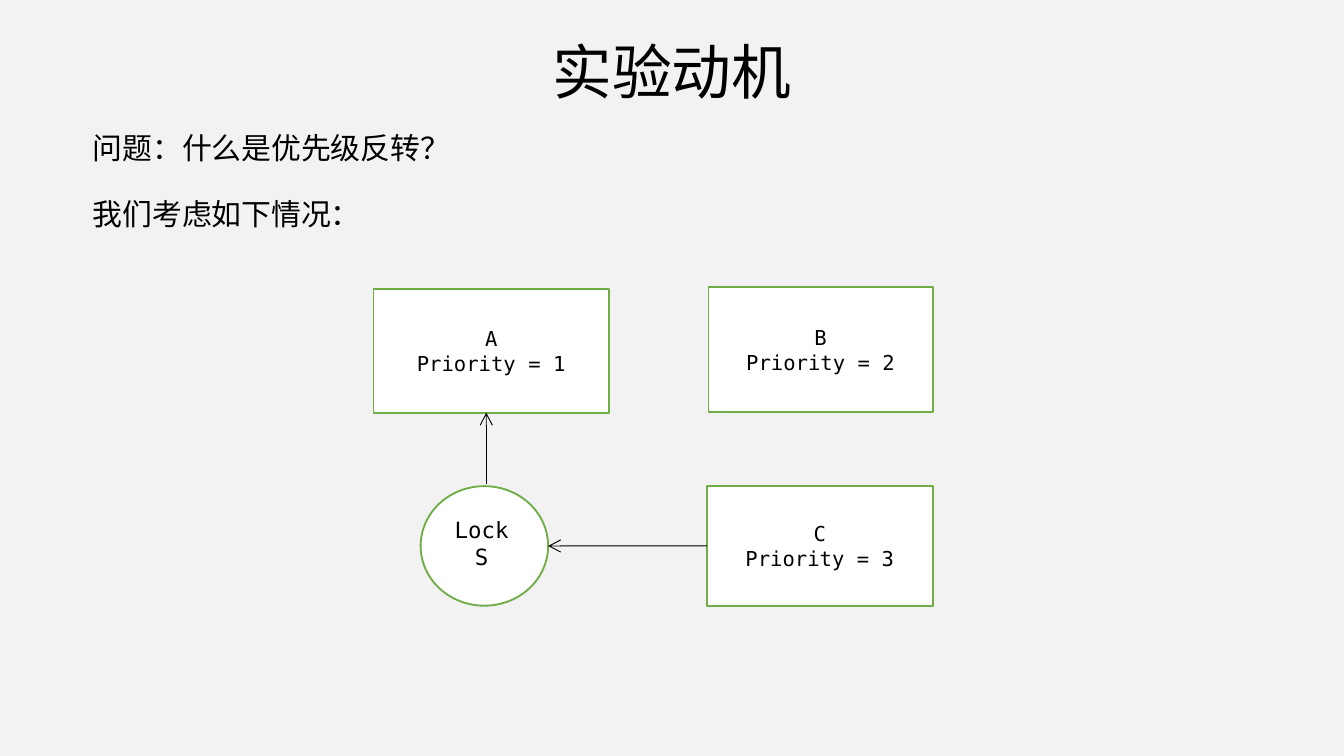
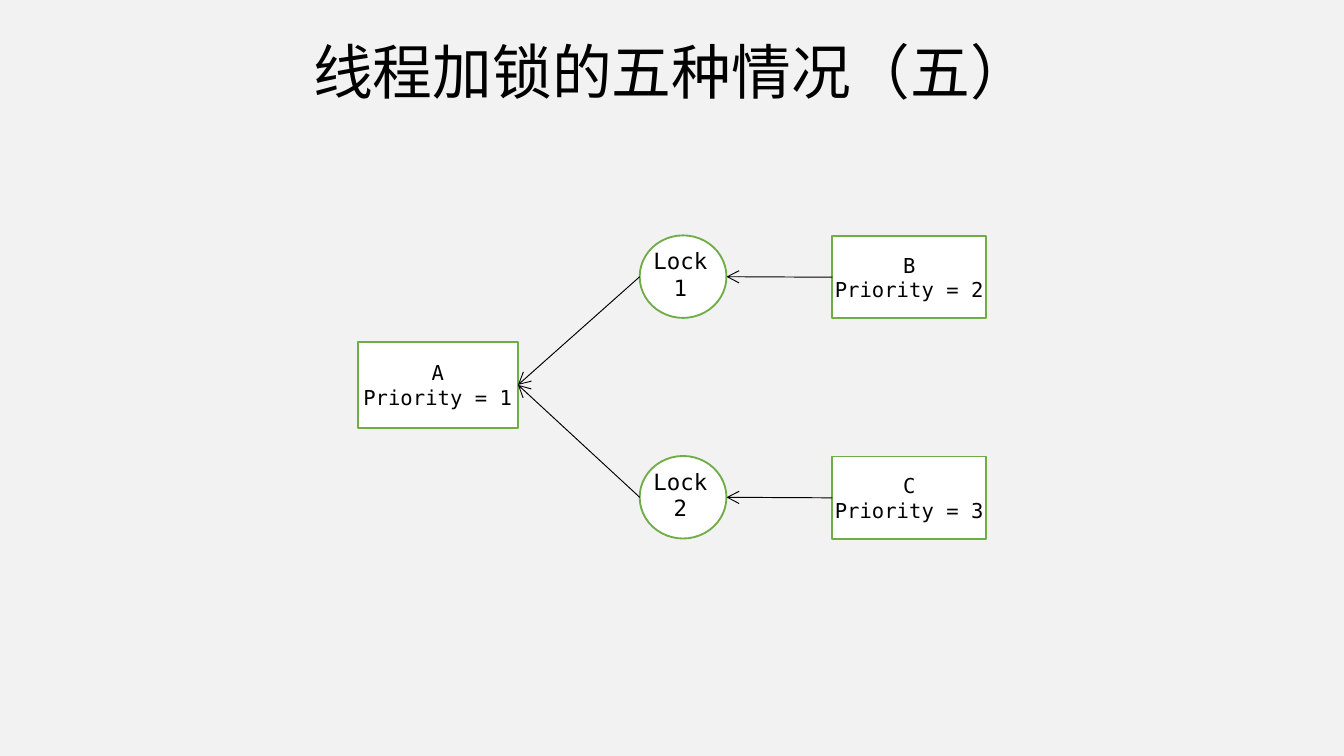
from dataclasses import dataclass
from typing import Any, Optional

from lxml import etree
from pptx import Presentation
from pptx.dml.color import RGBColor
from pptx.enum.shapes import MSO_CONNECTOR, MSO_SHAPE
from pptx.enum.text import MSO_ANCHOR, MSO_AUTO_SIZE, PP_ALIGN
from pptx.oxml.ns import qn
from pptx.util import Cm, Pt

RECTANGLE, ELLIPSE = MSO_SHAPE.RECTANGLE, MSO_SHAPE.OVAL
STRAIGHT = MSO_CONNECTOR.STRAIGHT
TOP, MIDDLE = MSO_ANCHOR.TOP, MSO_ANCHOR.MIDDLE
NO_FIT = MSO_AUTO_SIZE.NONE
LEFT, CENTER = PP_ALIGN.LEFT, PP_ALIGN.CENTER
LEFT_SIDE, RIGHT_SIDE = 1, 3
TITLE_AND_BODY, TITLE_ONLY = 1, 5

COLORS = {"page": "F2F2F2", "fill": "FFFFFF", "edge": "70AD47", "ink": "000000"}
CJK_FONT, MONO_FONT = "Noto Sans CJK SC", "DejaVu Sans Mono"

HEADING_FRAME = {"vertical_anchor": TOP, "word_wrap": True, "auto_size": NO_FIT}
TASK_FRAME = {"vertical_anchor": MIDDLE, "word_wrap": True, "margin_left": 0,
              "margin_top": 0, "margin_right": 0, "margin_bottom": 0}
LOCK_FRAME = {**TASK_FRAME, "margin_right": Cm(0.1), "margin_bottom": Cm(0.1)}

Point = tuple[float, float]


@dataclass(frozen=True)
class Area:
    left: float
    top: float
    width: float
    height: float

    @property
    def left_middle(self) -> Point:
        return self.left, self.top + self.height / 2

    @property
    def right_middle(self) -> Point:
        return self.left + self.width, self.top + self.height / 2


@dataclass(frozen=True)
class TextStyle:
    font: str
    size: float
    align: Any
    line_spacing: float = 1.0
    gap: float = 0


@dataclass(frozen=True)
class Node:
    lines: list[str]
    area: Area
    kind: Any = RECTANGLE


@dataclass(frozen=True)
class Arrow:
    start: Point
    end: Point
    start_box: Optional[Any] = None
    end_box: Optional[Any] = None


TITLE_AREA = Area(0, 0.69, 25.4, 1.63)
BODY_AREA = Area(1.5, 2.41, 22.33, 2.31)
TITLE_STYLE = TextStyle(CJK_FONT, 32, CENTER, 0.9)
BODY_STYLE = TextStyle(CJK_FONT, 16, LEFT, 0.9, 17.7)
TASK_STYLE = TextStyle(MONO_FONT, 11, CENTER)
LOCK_STYLE = TextStyle(MONO_FONT, 12, CENTER)


def color(name: str) -> RGBColor:
    return RGBColor.from_string(COLORS[name])


def apply(target: Any, values: dict[str, Any]) -> None:
    for name, value in values.items():
        setattr(target, name, value)


def write(frame: Any, lines: list[str], style: TextStyle) -> None:
    for index, line in enumerate(lines):
        para = frame.add_paragraph() if index else frame.paragraphs[0]
        apply(para, {"alignment": style.align, "line_spacing": style.line_spacing,
                     "space_before": Pt(style.gap if index else 0), "space_after": Pt(0)})
        span = para.add_run()
        span.text = line
        apply(span.font, {"name": style.font, "size": Pt(style.size), "bold": False})
        span.font.color.rgb = color("ink")
        east_asian = etree.SubElement(span.font._element, qn("a:ea"))
        east_asian.set("typeface", style.font)


def fill_placeholder(box: Any, area: Area, lines: list[str], style: TextStyle) -> None:
    apply(box, {"left": Cm(area.left), "top": Cm(area.top),
                "width": Cm(area.width), "height": Cm(area.height)})
    apply(box.text_frame, HEADING_FRAME)
    write(box.text_frame, lines, style)


def add_page(deck: Any, layout: int, title: str) -> Any:
    page = deck.slides.add_slide(deck.slide_layouts[layout])
    fill_placeholder(page.shapes.title, TITLE_AREA, [title], TITLE_STYLE)
    return page


def add_body(page: Any, lines: list[str]) -> None:
    box = page.placeholders[1]
    fill_placeholder(box, BODY_AREA, lines, BODY_STYLE)
    for para in box.text_frame.paragraphs:
        properties = para._p.get_or_add_pPr()
        properties.set("marL", "0")
        properties.set("indent", "0")
        etree.SubElement(properties, qn("a:buNone"))


def add_node(page: Any, node: Node) -> Any:
    area = node.area
    box = page.shapes.add_shape(node.kind, Cm(area.left), Cm(area.top),
                                Cm(area.width), Cm(area.height))
    box.shadow.inherit = False
    box.fill.solid()
    box.fill.fore_color.rgb = color("fill")
    box.line.color.rgb = color("edge")
    box.line.width = Pt(1)
    is_lock = node.kind == ELLIPSE
    apply(box.text_frame, LOCK_FRAME if is_lock else TASK_FRAME)
    write(box.text_frame, node.lines, LOCK_STYLE if is_lock else TASK_STYLE)
    return box


def add_task(page: Any, name: str, priority: int, area: Area) -> Any:
    return add_node(page, Node([name, f"Priority = {priority}"], area))


def add_arrow(page: Any, arrow: Arrow) -> None:
    ends = [Cm(value) for value in (*arrow.start, *arrow.end)]
    connector = page.shapes.add_connector(STRAIGHT, *ends)
    if arrow.start_box is not None:
        connector.begin_connect(arrow.start_box, LEFT_SIDE)
    if arrow.end_box is not None:
        connector.end_connect(arrow.end_box, RIGHT_SIDE)
    connector.line.color.rgb = color("ink")
    connector.line.width = Pt(0.5)
    properties = connector._element.spPr
    head = etree.SubElement(properties.find(qn("a:ln")), qn("a:tailEnd"))
    head.set("type", "arrow")
    etree.SubElement(properties, qn("a:effectLst"))


def build_motivation(deck: Any) -> None:
    page = add_page(deck, TITLE_AND_BODY, "实验动机")
    add_body(page, ["问题：什么是优先级反转？", "我们考虑如下情况："])
    holder = Area(13.36, 9.19, 4.27, 2.26)
    lock = Area(7.95, 9.19, 2.41, 2.26)
    add_task(page, "B", 2, Area(13.39, 5.43, 4.24, 2.36))
    add_task(page, "A", 1, Area(7.06, 5.46, 4.45, 2.35))
    holder_box = add_task(page, "C", 3, holder)
    add_node(page, Node(["Lock", "S"], lock, ELLIPSE))
    add_arrow(page, Arrow((9.19, 9.14), (9.19, 7.8)))
    add_arrow(page, Arrow(holder.left_middle, lock.right_middle, start_box=holder_box))


def build_fifth_case(deck: Any) -> None:
    page = add_page(deck, TITLE_ONLY, "线程加锁的五种情况（五）")
    owner = Area(6.76, 6.46, 3.03, 1.63)
    owner_box = add_task(page, "A", 1, owner)
    first_top, row_pitch = 4.45, 4.17
    for row, name in enumerate("BC"):
        top = first_top + row * row_pitch
        lock = Area(12.09, top, 1.64, 1.56)
        waiter = Area(15.73, top + 0.01, 2.91, 1.56)
        add_node(page, Node([f"Lock{row + 1}"], lock, ELLIPSE))
        waiter_box = add_task(page, name, row + 2, waiter)
        add_arrow(page, Arrow(waiter.left_middle, lock.right_middle, start_box=waiter_box))
        add_arrow(page, Arrow(lock.left_middle, owner.right_middle, end_box=owner_box))


def main() -> None:
    deck = Presentation()
    apply(deck, {"slide_width": Cm(25.4), "slide_height": Cm(14.29)})
    background = deck.slide_master.background.fill
    background.solid()
    background.fore_color.rgb = color("page")
    build_motivation(deck)
    build_fifth_case(deck)
    deck.save("out.pptx")


if __name__ == "__main__":
    main()
